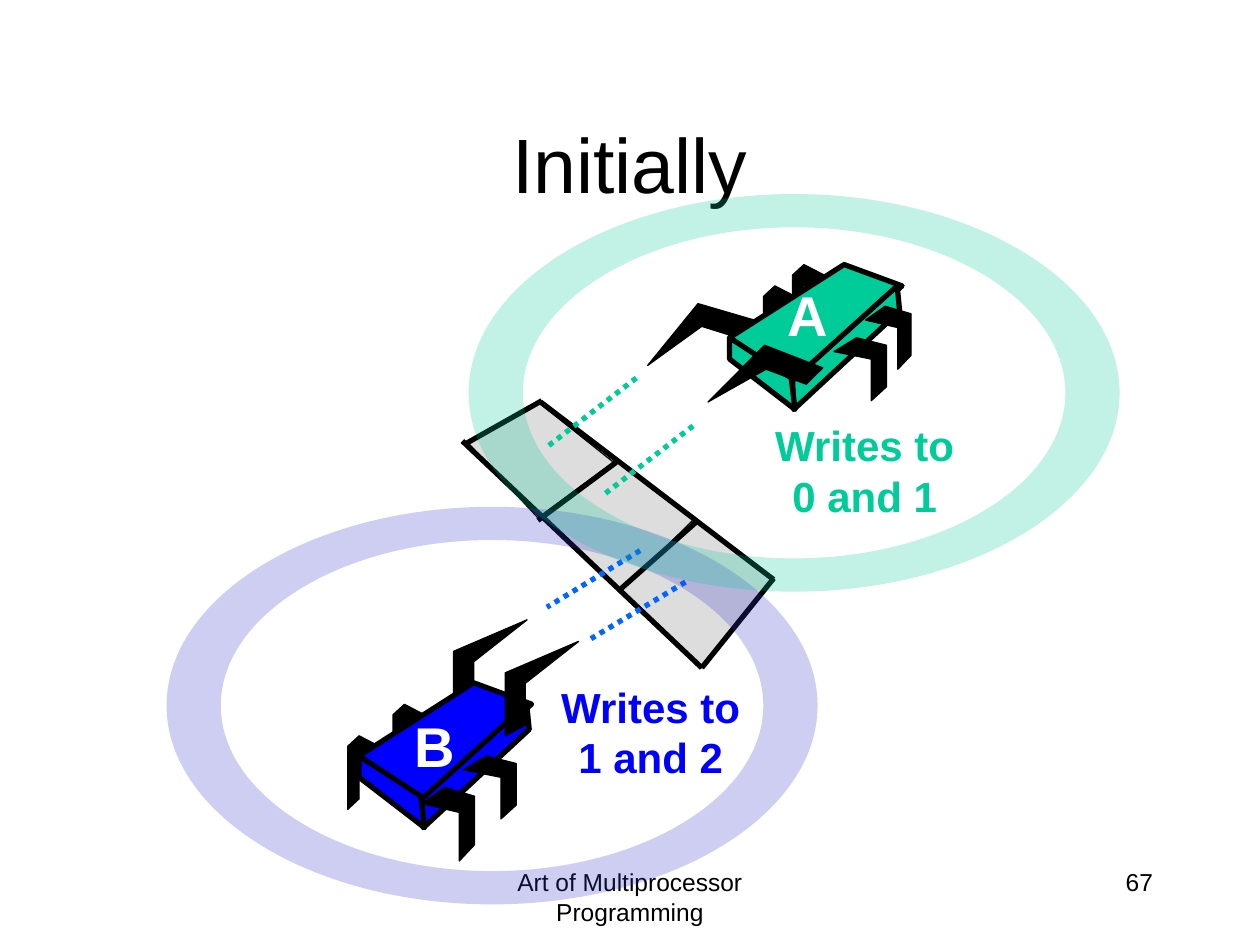
from lxml import etree
from pptx import Presentation
from pptx.dml.color import RGBColor
from pptx.enum.dml import MSO_LINE
from pptx.enum.shapes import MSO_CONNECTOR
from pptx.enum.text import MSO_ANCHOR, MSO_AUTO_SIZE, PP_ALIGN
from pptx.oxml.ns import qn
from pptx.util import Pt

DOT = MSO_LINE.ROUND_DOT
LINE = MSO_CONNECTOR.STRAIGHT
GROW, FIXED = MSO_AUTO_SIZE.SHAPE_TO_FIT_TEXT, MSO_AUTO_SIZE.NONE
MID, TOP = MSO_ANCHOR.MIDDLE, MSO_ANCHOR.TOP
MIDX, RIGHT = PP_ALIGN.CENTER, PP_ALIGN.RIGHT
BLACK, WHITE, GREY = "000000", "FFFFFF", "DDDDDD"
GREEN, BLUE, SKY, VIOLET = "00CC99", "0000FF", "0066FF", "3333CC"

TITLE = ("Initially", (54, 48, 612, 90), 44, BLACK, False, MIDX)
FOOT = [
    ("Art of Multiprocessor Programming", (246, 492, 228, 36), 14, BLACK, False, MIDX),
    ("67", (516, 492, 150, 36), 14, BLACK, False, RIGHT),
]
LABELS = [
    ("Writes to 0 and 1", (427.5, 236.4, 133.2, 65.5), 24, GREEN, True, MIDX),
    ("Writes to 1 and 2", (305.2, 385.9, 133.2, 65.5), 24, BLUE, True, MIDX),
]
NAMES = [
    ("A", (441.8, 157, 38.2, 45.4), 32, WHITE, True, RIGHT),
    ("B", (228.7, 403.2, 38.2, 45.4), 32, WHITE, True, RIGHT),
]

CELLS = [
    [(396.7, 295.9), (352.8, 337), (401, 381.6), (442.1, 331.2)],
    [(308.9, 293.8), (354.2, 338.4), (397.4, 295.9), (352.1, 262.8)],
    [(307.4, 229.7), (267.1, 252.7), (307.4, 295.9), (350.6, 264.2)],
]
EDGES = [
    (264.2, 252, 401, 381.6), (308.9, 229.7, 442.1, 331.2),
    (266.4, 253.4, 309.6, 229), (401, 381.6, 442.1, 330.5),
    (354.2, 337, 398.9, 297.4), (307.4, 297.4, 352.1, 264.2),
]
WRITES = [
    (GREEN, (363.6, 216, 313.2, 254.9)), (GREEN, (396, 243.4, 345.6, 282.2)),
    (SKY, (365.8, 314.6, 312.5, 347)), (SKY, (391.7, 332.6, 337.7, 365)),
]

BODY = [
    [(65.5, 0), (0, 41.8), (36.7, 67), (98.6, 12.2)],
    [(95.8, 12.2), (36, 66.2), (36.7, 82.8), (97.2, 26.6)],
    [(0, 41.8), (0, 54), (37.4, 82.8), (35.3, 64.8)],
]
HIND = [(18, 6), (6.5, 0), (0, 6), (0, 42), (6.5, 36), (6.5, 11.5), (18, 18)]
KNEE = [(0.43, 0), (0, 0.22), (0.71, 0.34), (0.71, 1), (1, 0.78), (1, 0.12)]
CLAW = [(0, 54), (11.5, 48), (11.5, 24), (42, 0), (0, 18)]


def move(pts, x, y, wide=1, high=1):
    return [(x + a * wide, y + b * high) for a, b in pts]


BUGS = [
    dict(hue=BLUE, at=(205.2, 390.2),
         hinds=[(198.7, 420.5), (224.6, 402.5)],
         knees=[(241.2, 450, 30, 42), (265, 432, 30, 36)],
         claws=[move(CLAW, 259.2, 354.2), move(CLAW, 288.7, 366.5)]),
    dict(hue=GREEN, at=(416.9, 151.2),
         hinds=[(452.9, 151.2), (436.3, 163.4)],
         knees=[(494.6, 175, 26, 36), (476.6, 193, 30, 36)],
         claws=[[(433.4, 183.6), (424.1, 193.7), (401, 186.5),
                 (370.1, 208.8), (398.9, 173.5)],
                [(470.2, 210.2), (460.8, 219.6), (437.8, 211),
                 (404.6, 229.7), (437, 197.3)]]),
]

RINGS = [(VIOLET, 281.2, 403.2), (GREEN, 453.8, 224.5)]
OUTER, INNER = (186, 113.6), (155, 94.6)
BEND = 0.55
OVAL = [
    (-1, 0), (-1, -BEND), (-BEND, -1), (0, -1), (BEND, -1), (1, -BEND),
    (1, 0), (1, BEND), (BEND, 1), (0, 1), (-BEND, 1), (-1, BEND), (-1, 0),
]


def paint(fmt, hue):
    fmt.solid()
    fmt.fore_color.rgb = RGBColor.from_string(hue)


def write(shape, text, size, hue, bold, side, hold=TOP, wrap=True, fit=FIXED):
    frame = shape.text_frame
    frame.word_wrap = wrap
    frame.auto_size = fit
    frame.vertical_anchor = hold
    para = frame.paragraphs[0]
    para.alignment = side
    run = para.add_run()
    run.text = text
    font = run.font
    font.name, font.size, font.bold = "Arial", Pt(size), bold
    font.color.rgb = RGBColor.from_string(hue)


def label(shapes, text, box, *look, **more):
    write(shapes.add_textbox(*map(Pt, box)), text, *look, **more)


def trace(shapes, loops, hue, width=0.75):
    emu = [[(Pt(x), Pt(y)) for x, y in loop] for loop in loops]
    pen = shapes.build_freeform(*emu[0][0])
    for i, loop in enumerate(emu):
        if i:
            pen.move_to(*loop[0])
        pen.add_line_segments(loop[1:], close=True)
    shape = pen.convert_to_shape()
    shape.shadow.inherit = False
    paint(shape.fill, hue)
    if width:
        paint(shape.line.fill, BLACK)
        shape.line.width = Pt(width)
    else:
        shape.line.fill.background()
    return shape


def stroke(shapes, ends, hue, dash=None):
    link = shapes.add_connector(LINE, *map(Pt, ends))
    paint(link.line.fill, hue)
    link.line.width = Pt(3)
    if dash:
        link.line.dash_style = dash
    etree.SubElement(link._element.spPr, qn("a:effectLst"))


def bug(shapes, hue, at, hinds, knees, claws):
    group = shapes.add_group_shape().shapes
    trace(group, [claws[0]], BLACK)
    for spot in hinds:
        trace(group, [move(HIND, *spot)], BLACK)
    for face in BODY:
        trace(group, [move(face, *at)], hue, 3)
    for spot in knees:
        trace(group, [move(KNEE, *spot)], BLACK)
    trace(group, [claws[1]], BLACK)


def curve(shape):
    legs = list(shape._element.iter(qn("a:lnTo")))
    for i in range(0, len(legs), 3):
        arc = etree.Element(qn("a:cubicBezTo"))
        legs[i].addprevious(arc)
        for leg in legs[i:i + 3]:
            arc.append(leg[0])
            leg.getparent().remove(leg)


def ring(shapes, hue, x, y):
    loops = [move(OVAL, x, y, *OUTER), move(OVAL, x, y, *INNER)[::-1]]
    shape = trace(shapes, loops, hue, 0)
    curve(shape)
    tint = shape._element.spPr.find(qn("a:solidFill"))[0]
    etree.SubElement(tint, qn("a:alpha"), val="24000")


def main():
    deck = Presentation()
    deck.slide_width, deck.slide_height = Pt(720), Pt(540)
    shapes = deck.slides.add_slide(deck.slide_layouts[5]).shapes
    text, box, *look = TITLE
    head = shapes.title
    head.left, head.top, head.width, head.height = map(Pt, box)
    write(head, text, *look, hold=MID)
    for item in FOOT:
        label(shapes, *item)
    for cell in CELLS:
        trace(shapes, [cell], GREY)
    for item in BUGS:
        bug(shapes, **item)
    for item in LABELS:
        label(shapes, *item, fit=GROW)
    for ends in EDGES:
        stroke(shapes, ends, BLACK)
    for hue, ends in WRITES:
        stroke(shapes, ends, hue, DOT)
    for item in NAMES:
        label(shapes, *item, wrap=False, fit=GROW)
    for item in RINGS:
        ring(shapes, *item)
    deck.save("out.pptx")


if __name__ == "__main__":
    main()
